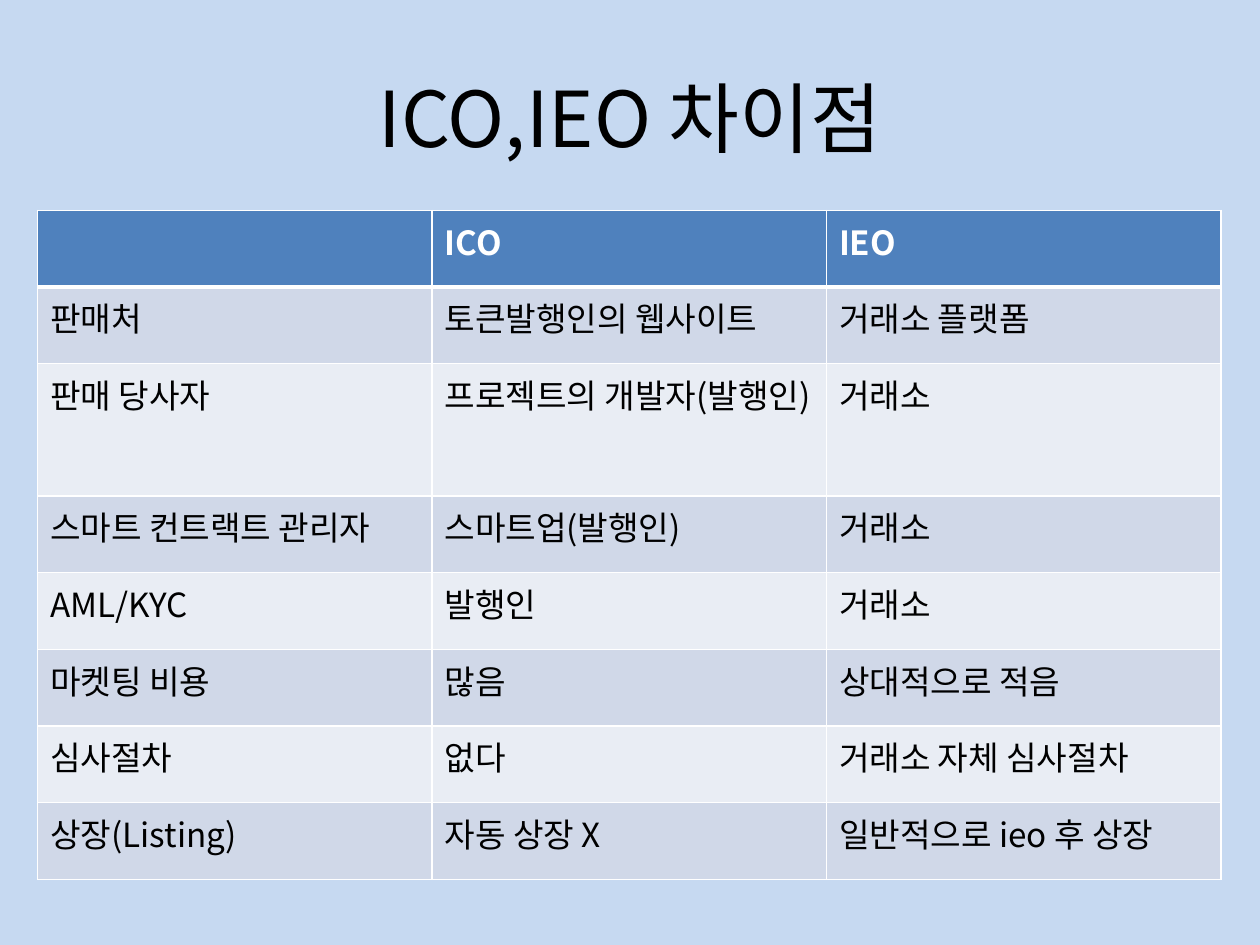
"""Build a slide with a table comparing ICO and IEO token sales."""
from lxml import etree
from pptx import Presentation
from pptx.dml.color import RGBColor
from pptx.enum.text import MSO_ANCHOR, PP_ALIGN
from pptx.oxml.ns import qn
from pptx.util import Cm, Pt

CENTER = PP_ALIGN.CENTER
MIDDLE = MSO_ANCHOR.MIDDLE
FONT = "Noto Sans CJK KR"
COLORS = {
    "background": "C6D9F1",
    "header": "4F81BD",
    "odd": "D0D8E8",
    "even": "E9EDF4",
    "light": "FFFFFF",
    "dark": "000000",
}
ROWS = [
    ("", "ICO", "IEO"),
    ("판매처", "토큰발행인의 웹사이트", "거래소 플랫폼"),
    ("판매 당사자", "프로젝트의 개발자(발행인)", "거래소"),
    ("스마트 컨트랙트 관리자", "스마트업(발행인)", "거래소"),
    ("AML/KYC", "발행인", "거래소"),
    ("마켓팅 비용", "많음", "상대적으로 적음"),
    ("심사절차", "없다", "거래소 자체 심사절차"),
    ("상장(Listing)", "자동 상장 X", "일반적으로 ieo 후 상장"),
]
COLUMN_WIDTH = Cm(7.95)
ROW_HEIGHT = Cm(1.545)
TALL_ROW_HEIGHT = Cm(2.67)
TALL_ROW = 2


def add_run(paragraph, text, size, color, bold=False):
    run = paragraph.add_run()
    run.text = text
    run.font.size = Pt(size)
    run.font.bold = bold
    run.font.name = FONT
    run.font.color.rgb = RGBColor.from_string(COLORS[color])
    latin = run.font._element.find(qn("a:latin"))
    east_asian = etree.Element(qn("a:ea"), typeface=FONT)
    latin.addnext(east_asian)


def add_border(cell, side, width):
    properties = cell._tc.get_or_add_tcPr()
    line = etree.SubElement(properties, qn(f"a:ln{side}"), w=str(Pt(width)))
    fill = etree.SubElement(line, qn("a:solidFill"))
    etree.SubElement(fill, qn("a:srgbClr"), val=COLORS["light"])


prs = Presentation()
prs.slide_width = Cm(25.4)
prs.slide_height = Cm(19.05)
slide = prs.slides.add_slide(prs.slide_layouts[5])
slide.background.fill.solid()
slide.background.fill.fore_color.rgb = RGBColor.from_string(COLORS["background"])

title = slide.shapes.title
title.left, title.top = Cm(1.27), Cm(0.76)
title.width, title.height = Cm(22.86), Cm(3.18)
title.text_frame.vertical_anchor = MIDDLE
heading = title.text_frame.paragraphs[0]
heading.alignment = CENTER
add_run(heading, "ICO,IEO 차이점", 44, "dark")

comparison = slide.shapes.add_table(
    len(ROWS), len(ROWS[0]), Cm(0.76), Cm(4.24),
    COLUMN_WIDTH * len(ROWS[0]),
    ROW_HEIGHT * (len(ROWS) - 1) + TALL_ROW_HEIGHT,
).table
for column in comparison.columns:
    column.width = COLUMN_WIDTH

for row_index, labels in enumerate(ROWS):
    is_header = row_index == 0
    band = "header" if is_header else ("odd" if row_index % 2 else "even")
    comparison.rows[row_index].height = (
        TALL_ROW_HEIGHT if row_index == TALL_ROW else ROW_HEIGHT
    )
    border_widths = {
        "L": 1,
        "R": 1,
        "T": 3 if row_index == 1 else 1,
        "B": 3 if is_header else 1,
    }
    for column_index, label in enumerate(labels):
        cell = comparison.cell(row_index, column_index)
        for side, width in border_widths.items():
            add_border(cell, side, width)
        cell.fill.solid()
        cell.fill.fore_color.rgb = RGBColor.from_string(COLORS[band])
        if label:
            add_run(cell.text_frame.paragraphs[0], label, 19,
                    "light" if is_header else "dark", is_header)

prs.save("out.pptx")
